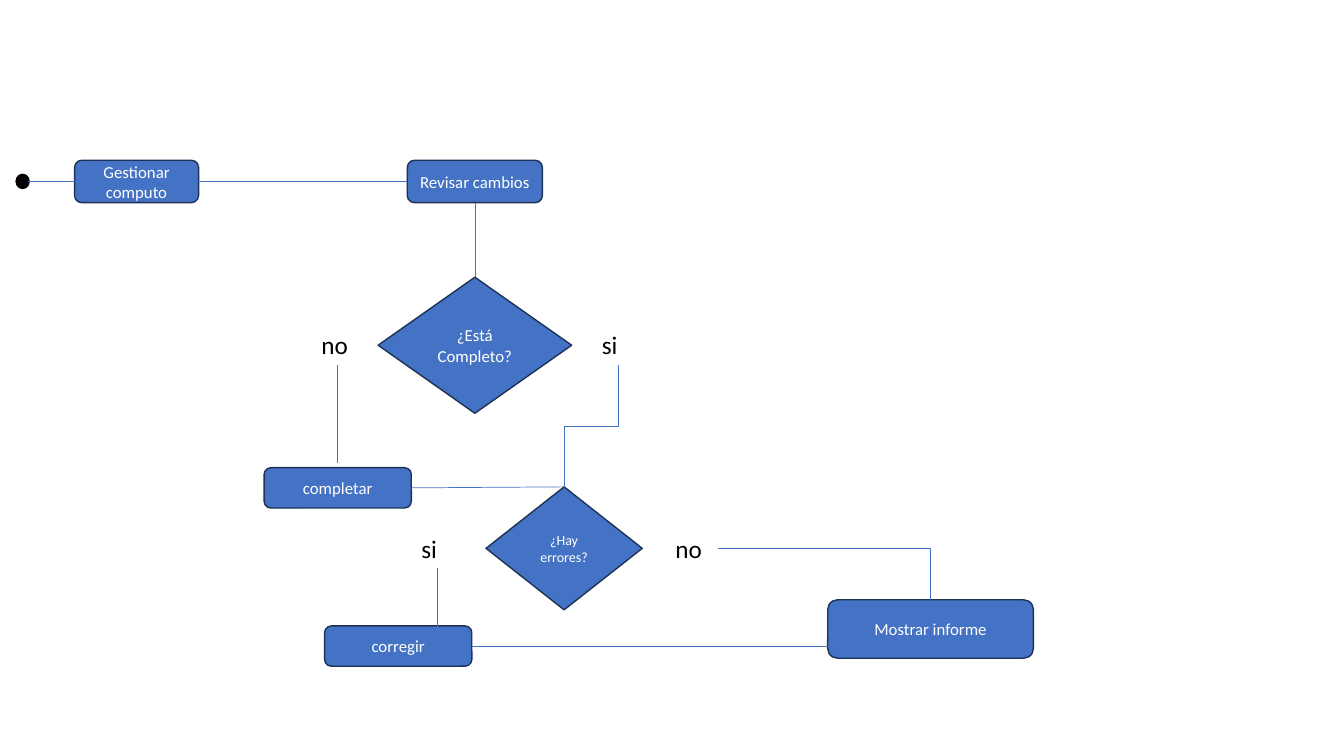
from dataclasses import dataclass

import pptx
import pptx.dml.color
import pptx.enum.shapes
import pptx.enum.text
import pptx.oxml.ns
import pptx.oxml.xmlchemy
import pptx.util
from lxml import etree

PX = 9144  # EMU per px, 100 px to the inch
FONT = "Calibri"

BLUE = pptx.dml.color.RGBColor(0x44, 0x72, 0xC4)
NAVY = pptx.dml.color.RGBColor(0x1E, 0x32, 0x56)
BLACK = pptx.dml.color.RGBColor(0, 0, 0)
WHITE = pptx.dml.color.RGBColor(0xFF, 0xFF, 0xFF)

ShapeType = pptx.enum.shapes.MSO_SHAPE
ConnectorType = pptx.enum.shapes.MSO_CONNECTOR
BOX = ShapeType.ROUNDED_RECTANGLE
DIAMOND = ShapeType.DIAMOND


@dataclass(frozen=True)
class Node:
    text: str
    left: int
    top: int
    width: int
    height: int
    kind: ShapeType = BOX
    size: int = 12
    fill: pptx.dml.color.RGBColor = BLUE
    outline: pptx.dml.color.RGBColor = NAVY


@dataclass(frozen=True)
class Answer:
    text: str
    left: int
    top: int


@dataclass(frozen=True)
class Link:
    start: tuple[int, int]
    end: tuple[int, int]
    preset: str = "line"
    quarter_turn: bool = False


NODES = [
    Node("¿Está Completo?", 375, 275, 192, 135, DIAMOND),
    Node("", 16, 173, 13, 14, ShapeType.OVAL, fill=BLACK, outline=BLACK),
    Node("Gestionar computo", 74, 159, 123, 42),
    Node("Revisar cambios", 404, 159, 134, 42),
    Node("completar", 262, 464, 146, 40),
    Node("¿Hay errores?", 482, 483, 155, 122, DIAMOND, size=10),
    Node("corregir", 322, 621, 146, 40),
    Node("Mostrar informe", 821, 595, 204, 58),
]

ANSWERS = [
    Answer("si", 587, 322),
    Answer("no", 309, 322),
    Answer("no", 660, 524),
    Answer("si", 408, 524),
]

LINKS = [
    Link((28, 180), (74, 180)),
    Link((196, 180), (404, 180)),
    Link((471, 201), (471, 275)),
    Link((335, 362), (335, 459)),
    Link((408, 484), (560, 483)),
    Link((434, 564), (434, 624)),
    Link((712, 544), (923, 595), "bentConnector2"),
    Link((468, 641), (821, 641)),
    Link((613, 362), (560, 483), "bentConnector3", quarter_turn=True),
]


def px(length: float) -> int:
    return round(length * PX)


def style_text(shape, text: str, size: int, color: pptx.dml.color.RGBColor) -> None:
    shape.text_frame.word_wrap = True
    shape.text_frame.text = text
    for run in shape.text_frame.paragraphs[0].runs:
        run.font.name = FONT
        run.font.size = pptx.util.Pt(size)
        run.font.color.rgb = color


def draw_node(slide, node: Node) -> None:
    shape = slide.shapes.add_shape(
        node.kind, px(node.left), px(node.top), px(node.width), px(node.height)
    )
    shape.shadow.inherit = False
    shape.fill.solid()
    shape.fill.fore_color.rgb = node.fill
    shape.line.color.rgb = node.outline
    shape.line.width = pptx.util.Pt(1)
    if node.text:
        style_text(shape, node.text, node.size, WHITE)
        shape.text_frame.vertical_anchor = pptx.enum.text.MSO_ANCHOR.MIDDLE
        shape.text_frame.paragraphs[0].alignment = pptx.enum.text.PP_ALIGN.CENTER


def draw_answer(slide, answer: Answer) -> None:
    shape = slide.shapes.add_textbox(px(answer.left), px(answer.top), px(52), px(40))
    style_text(shape, answer.text, 18, BLACK)
    shape.text_frame.auto_size = pptx.enum.text.MSO_AUTO_SIZE.SHAPE_TO_FIT_TEXT


def draw_link(slide, link: Link) -> None:
    (x1, y1), (x2, y2) = link.start, link.end
    if link.quarter_turn:
        # Ends before a clockwise quarter turn about the centre
        center_x, center_y = (x1 + x2) / 2, (y1 + y2) / 2
        half_width, half_height = (y2 - y1) / 2, (x1 - x2) / 2
        x1, x2 = center_x - half_width, center_x + half_width
        y1, y2 = center_y - half_height, center_y + half_height
    kind = ConnectorType.STRAIGHT if link.preset == "line" else ConnectorType.ELBOW
    connector = slide.shapes.add_connector(kind, px(x1), px(y1), px(x2), px(y2))
    connector.line.color.rgb = BLUE
    connector.line.width = pptx.util.Pt(0.5)

    properties = connector.element.spPr
    properties.find(pptx.oxml.ns.qn("a:prstGeom")).set("prst", link.preset)
    if link.quarter_turn:
        properties.find(pptx.oxml.ns.qn("a:xfrm")).set("rot", str(90 * 60000))
    etree.SubElement(properties, pptx.oxml.ns.qn("a:effectLst"))


def main() -> None:
    presentation = pptx.Presentation()
    presentation.slide_width = px(1333)
    presentation.slide_height = px(750)
    slide = presentation.slides.add_slide(presentation.slide_layouts[6])

    # Steps and decisions
    for node in NODES:
        draw_node(slide, node)

    # Answers beside the decisions
    for answer in ANSWERS:
        draw_answer(slide, answer)

    # Flow lines
    for link in LINKS:
        draw_link(slide, link)

    presentation.save("out.pptx")


if __name__ == "__main__":
    main()
